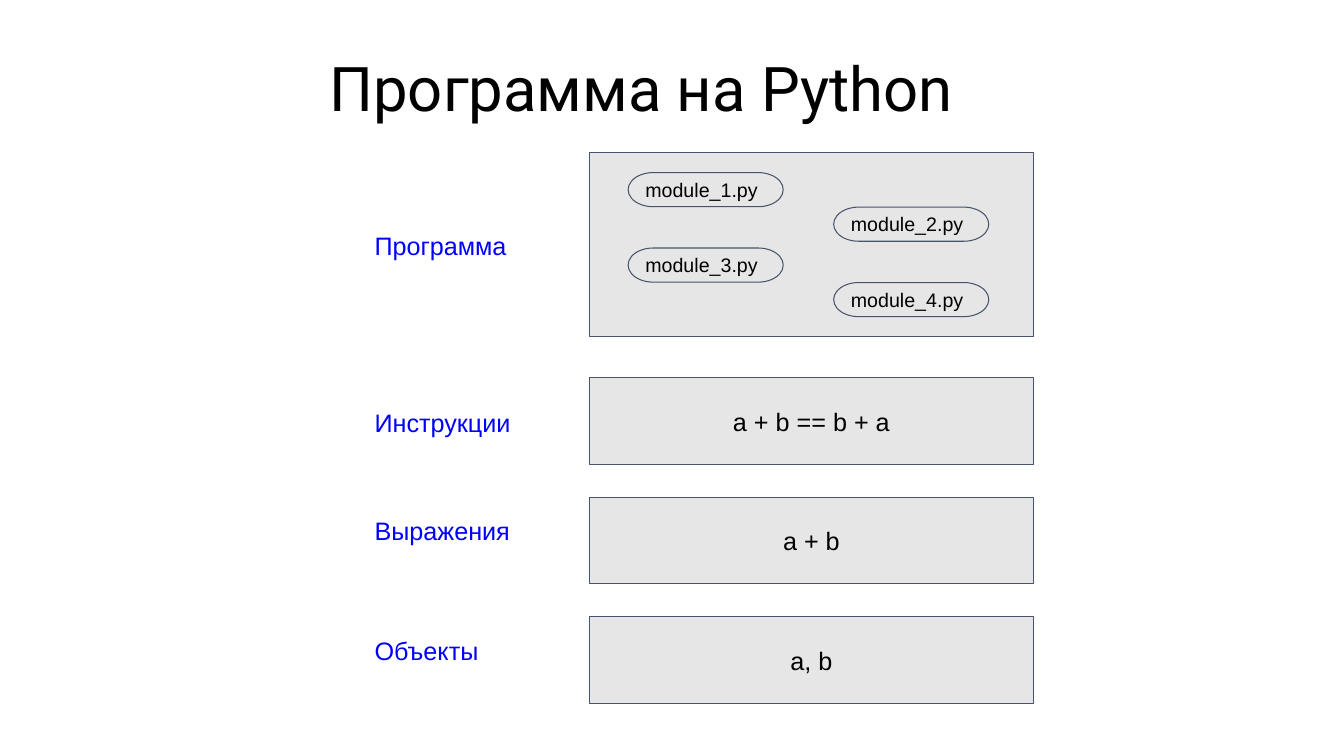
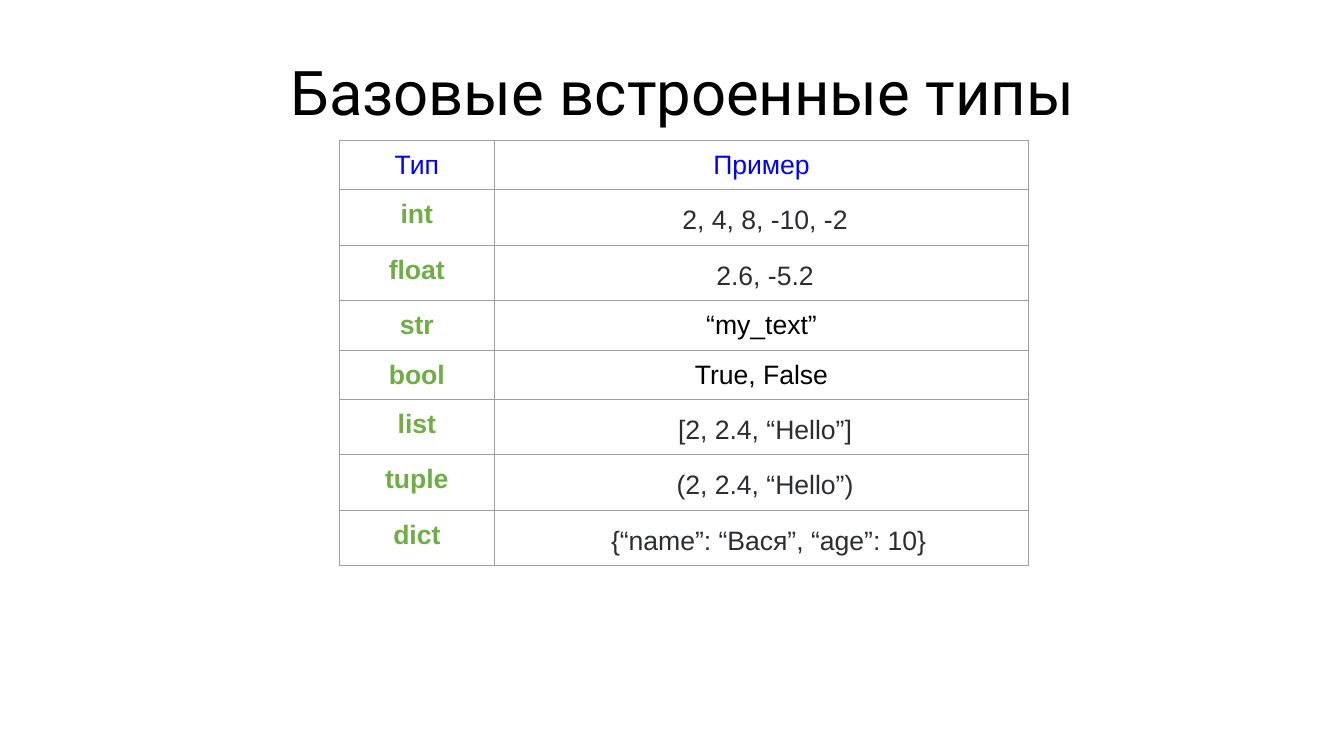
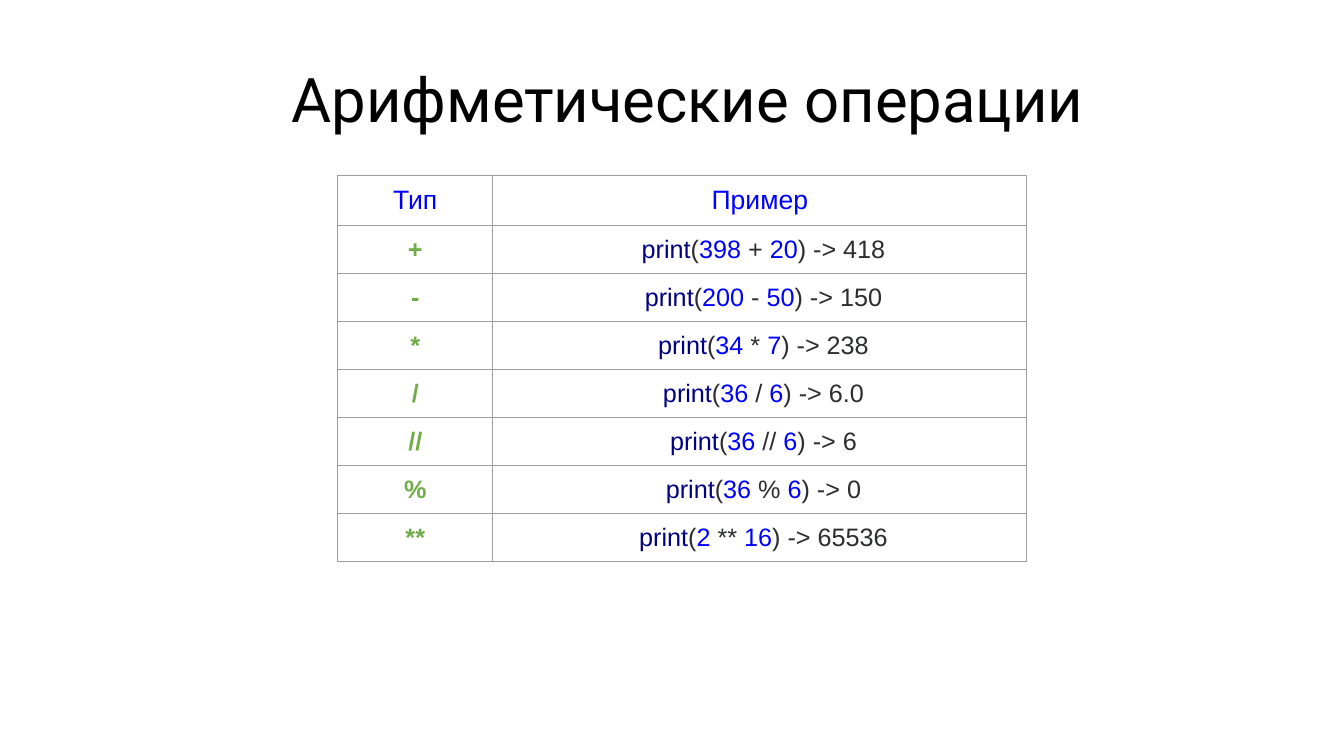
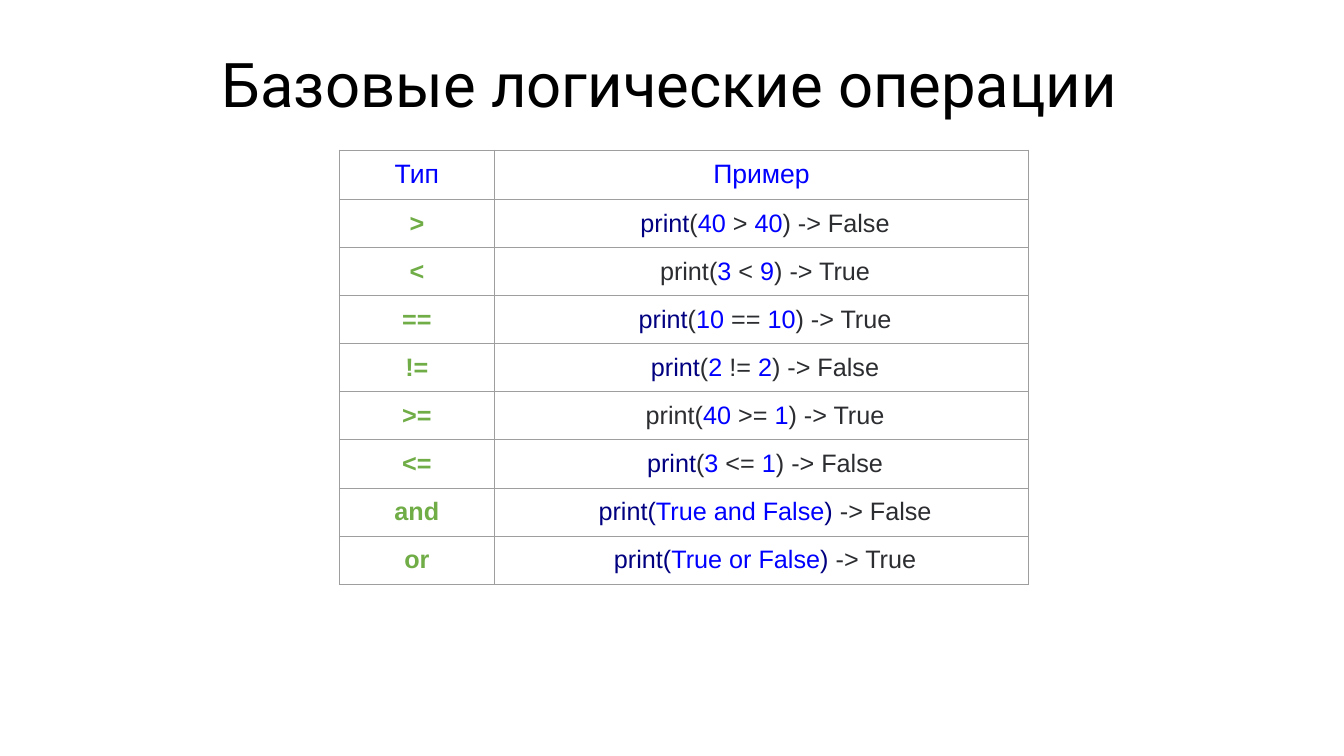
import lxml.etree
import pptx
import pptx.dml.color
import pptx.enum.shapes
import pptx.enum.text
import pptx.oxml.ns
import pptx.util

Cm, Pt = pptx.util.Cm, pptx.util.Pt
Shapes = pptx.enum.shapes.MSO_SHAPE
Align = pptx.enum.text.PP_ALIGN
Anchor = pptx.enum.text.MSO_ANCHOR
qn = pptx.oxml.ns.qn

BLACK, WHITE, INK = "000000", "FFFFFF", "2C2D30"
BLUE, NAVY, GREEN = "0000FF", "000080", "70AD47"
PANEL, OUTLINE, GRID = "E7E6E6", "44546A", "9E9E9E"
TITLE_FONT, TEXT_FONT = "Roboto", "Arial"
INSET = Cm(0.25)
TITLE_HEIGHT = 2.18
COLUMN_WIDTHS = (3.91, 13.46)
ROW_HEIGHT = 1.07


def rgb(colour):
    return pptx.dml.color.RGBColor.from_string(colour)


def add_run(paragraph, text, size, colour, bold=False, font=TEXT_FONT):
    run = paragraph.add_run()
    run.text = text
    run.font.name, run.font.size, run.font.bold = font, Pt(size), bold
    run.font.color.rgb = rgb(colour)


def set_insets(holder):
    """Give a text frame or a table cell equal insets."""
    holder.margin_left = holder.margin_right = INSET
    holder.margin_top = holder.margin_bottom = INSET


def add_titled_slide(deck, title, left, top, width):
    slide = deck.slides.add_slide(deck.slide_layouts[5])
    heading = slide.shapes.title
    heading.left, heading.top = Cm(left), Cm(top)
    heading.width, heading.height = Cm(width), Cm(TITLE_HEIGHT)
    frame = heading.text_frame
    frame.auto_size = pptx.enum.text.MSO_AUTO_SIZE.NONE
    frame.vertical_anchor = Anchor.BOTTOM
    paragraph = frame.paragraphs[0]
    paragraph.alignment, paragraph.line_spacing = Align.LEFT, 0.9
    add_run(paragraph, title, 44, BLACK, font=TITLE_FONT)
    return slide


def add_panel(slide, box, text="", size=18, kind=Shapes.RECTANGLE, align=Align.CENTER):
    panel = slide.shapes.add_shape(kind, *map(Cm, box))
    panel.shadow.inherit = False
    panel.fill.solid()
    panel.fill.fore_color.rgb = rgb(PANEL)
    panel.line.color.rgb = rgb(OUTLINE)
    panel.line.width = Pt(0.75)
    if text:
        frame = panel.text_frame
        set_insets(frame)
        frame.vertical_anchor = Anchor.MIDDLE
        frame.paragraphs[0].alignment = align
        add_run(frame.paragraphs[0], text, size, BLACK)


def add_label(slide, text, left, top):
    frame = slide.shapes.add_textbox(Cm(left), Cm(top), Cm(4.29), Cm(1.19)).text_frame
    frame.word_wrap = True
    set_insets(frame)
    add_run(frame.paragraphs[0], text, 18, BLUE)


def add_modules(slide, box):
    """Draw the program box with its modules staggered in two columns."""
    add_panel(slide, box)
    left, top = box[:2]
    for index in range(4):
        row, column = divmod(index, 2)
        pill = (left + 0.97 + 5.18 * column, top + 0.51 + 1.9 * row + 0.87 * column, 3.91, 0.86)
        add_panel(slide, pill, f"module_{index + 1}.py", 14, Shapes.FLOWCHART_TERMINATOR, Align.LEFT)


def add_levels(slide, left, top, levels):
    """Stack the program box and the levels below it, each with its label."""
    panel_left, panel_width = left + 5.67, 11.18
    add_modules(slide, (panel_left, top, panel_width, 4.65))
    add_label(slide, "Программа", left, top + 1.72)
    for index, (label, example, label_drop) in enumerate(levels):
        level_top = top + 5.68 + 3.01 * index
        add_panel(slide, (panel_left, level_top, panel_width, 2.18), example)
        add_label(slide, label, left, level_top + label_drop)


def outline_cell(cell):
    properties = cell._tc.get_or_add_tcPr()
    for side in ("a:lnL", "a:lnR", "a:lnT", "a:lnB"):
        line = lxml.etree.SubElement(properties, qn(side), w=str(Pt(0.75)))
        fill = lxml.etree.SubElement(line, qn("a:solidFill"))
        lxml.etree.SubElement(fill, qn("a:srgbClr"), val=GRID)


def fill_cell(cell, runs, size, bold=False):
    outline_cell(cell)
    cell.fill.solid()
    cell.fill.fore_color.rgb = rgb(WHITE)
    set_insets(cell)
    paragraph = cell.text_frame.paragraphs[0]
    paragraph.alignment = Align.CENTER
    for text, colour in runs:
        add_run(paragraph, text, size, colour, bold)
    return paragraph


def indent(paragraph):
    paragraph._p.get_or_add_pPr().set("marL", str(Cm(0.18)))


def add_type_table(slide, left, top, examples, size, spaced=()):
    """Add a table of names and example runs; the names in spaced get looser lines."""
    frame = slide.shapes.add_table(
        len(examples) + 1, 2, Cm(left), Cm(top),
        Cm(sum(COLUMN_WIDTHS)), Cm(ROW_HEIGHT * (len(examples) + 1)))
    table = frame.table
    table.first_row = table.horz_banding = False
    for column, width in zip(table.columns, COLUMN_WIDTHS):
        column.width = Cm(width)
    for column, heading in enumerate(("Тип", "Пример")):
        fill_cell(table.cell(0, column), [(heading, BLUE)], 19)
    for row, (name, runs) in enumerate(examples, 1):
        fill_cell(table.cell(row, 0), [(name, GREEN)], size, bold=True)
        example = fill_cell(table.cell(row, 1), runs, size)
        if len(runs) > 1 or name in spaced:
            indent(example)
        if name in spaced:
            example.line_spacing, example.space_before = 1.2, Pt(10)


def operation(left, operator, right, result, call_colour=NAVY):
    """Return the operator with the coloured runs of its printed example."""
    return operator, [
        ("print", call_colour), ("(", INK), (f"{left} ", BLUE), (f"{operator} ", INK),
        (str(right), BLUE), (f") -> {result}", INK)]


def word_operation(operator, result):
    return operator, [
        ("print(", NAVY), (f"True {operator} False", BLUE), (") ", NAVY), (f"-> {result}", INK)]


def build_program(deck):
    slide = add_titled_slide(deck, "Программа на Python", 8.05, 1.09, 18.29)
    add_levels(slide, 9.19, 3.84, [
        ("Инструкции", "a + b == b + a", 0.49),
        ("Выражения", "a + b", 0.21),
        ("Объекты", "a, b", 0.23),
    ])


def build_types(deck):
    slide = add_titled_slide(deck, "Базовые встроенные типы", 7.06, 1.19, 20.35)
    add_type_table(slide, 8.55, 3.54, [
        ("int", [("2, 4, 8, -10, -2", INK)]),
        ("float", [("2.6, -5.2", INK)]),
        ("str", [("“my_text”", BLACK)]),
        ("bool", [("True, False", BLACK)]),
        ("list", [("[2, 2.4, “Hello”]", INK)]),
        ("tuple", [("(2, 2.4, “Hello”)", INK)]),
        ("dict", [(" {“name”: “Вася”, “age”: 10}", INK)]),
    ], 19, spaced=("int", "float", "list", "tuple", "dict"))


def build_arithmetic(deck):
    slide = add_titled_slide(deck, "Арифметические операции", 7.09, 1.37, 21.06)
    add_type_table(slide, 8.51, 4.43, [
        operation(398, "+", 20, "418"),
        operation(200, "-", 50, "150"),
        operation(34, "*", 7, "238"),
        operation(36, "/", 6, "6.0"),
        operation(36, "//", 6, "6"),
        operation(36, "%", 6, "0"),
        operation(2, "**", 16, "65536"),
    ], 18)


def build_logic(deck):
    slide = add_titled_slide(deck, "Базовые логические операции", 5.33, 0.99, 24.33)
    add_type_table(slide, 8.55, 3.78, [
        operation(40, ">", 40, "False"),
        operation(3, "<", 9, "True", INK),
        operation(10, "==", 10, "True"),
        operation(2, "!=", 2, "False"),
        operation(40, ">=", 1, "True", INK),
        operation(3, "<=", 1, "False"),
        word_operation("and", "False"),
        word_operation("or", "True"),
    ], 18)


def main():
    deck = pptx.Presentation()
    deck.slide_width, deck.slide_height = Cm(33.87), Cm(19.05)
    for build in (build_program, build_types, build_arithmetic, build_logic):
        build(deck)
    deck.save("out.pptx")


if __name__ == "__main__":
    main()
